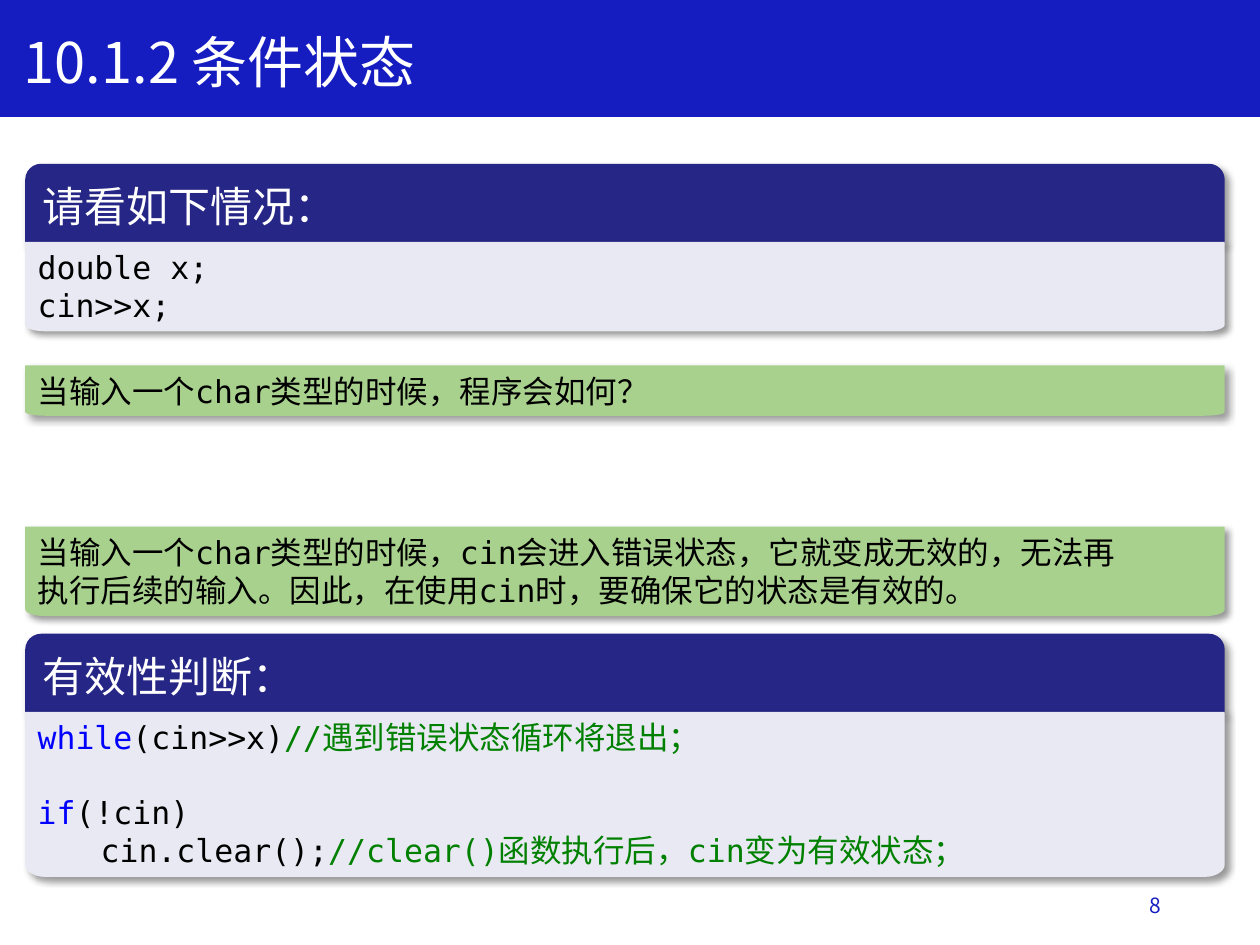
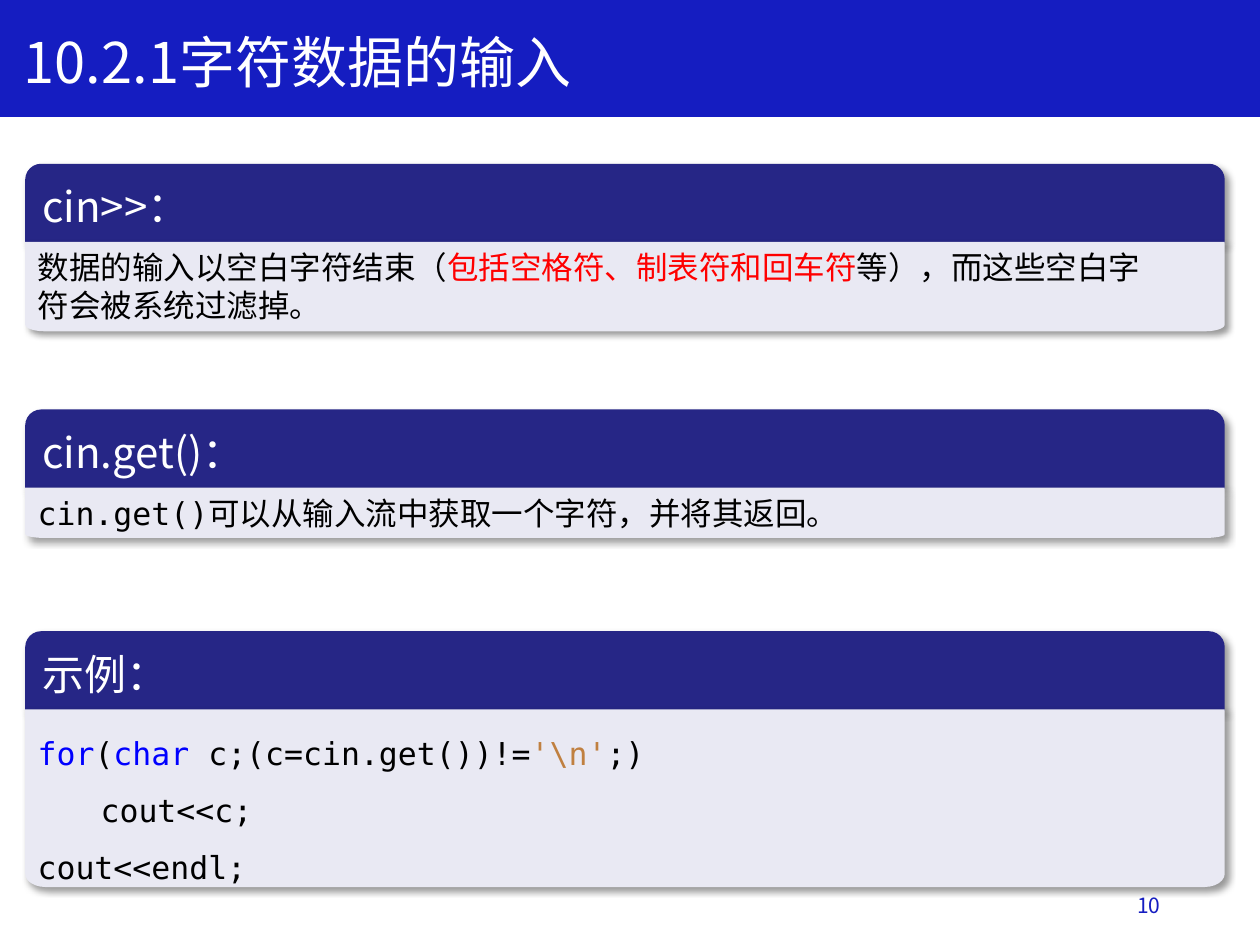
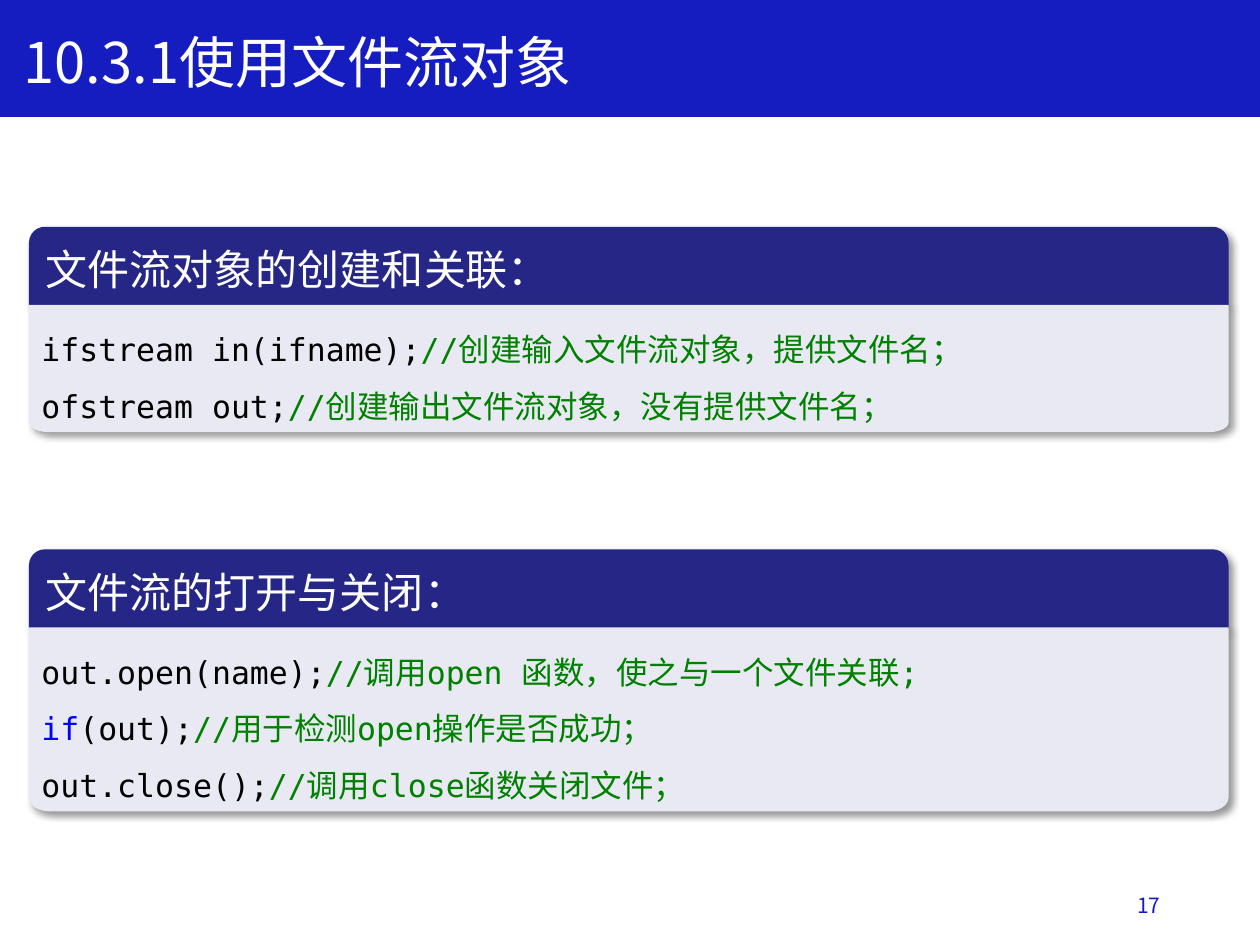
import math

from lxml import etree
from pptx import Presentation
from pptx import util as u
from pptx.dml import color
from pptx.enum import shapes, text
from pptx.oxml import ns

HUES = dict(band="151DC1", head="262686", pale="E9E9F3", green="A9D18E", white="FFFFFF",
            black="000000", key="0000FF", note="008000", red="FF0000", lit="C08040")
MONO, SANS = "DejaVu Sans Mono", "Noto Sans CJK SC"
KINDS = dict(
    title=dict(size=32, name=SANS, hue="white"),
    head=dict(size=24, name=SANS, hue="white"),
    page=dict(size=12, name=SANS, hue="band"),
    code=dict(size=18, name=MONO, hue="black"),
    key=dict(size=18, name=MONO, hue="key"),
    lit=dict(size=18, name=MONO, hue="lit"),
    note=dict(size=18, name=MONO, hue="note"),
    word=dict(size=18, name=SANS, hue="note"),
    text=dict(size=18, name=SANS, hue="black"),
    red=dict(size=18, name=SANS, hue="red"),
)
CELL = u.Inches(0.1)
COLS, ROWS = 100, 75
WIDE, HEAD = 95.2, 6.3
TOP, MID = text.MSO_ANCHOR.TOP, text.MSO_ANCHOR.MIDDLE
LEFT, RIGHT = text.PP_ALIGN.LEFT, text.PP_ALIGN.RIGHT


class Deck:
    """Holds the style and the current slide; lengths are grid cells."""

    def __init__(self):
        self.prs = Presentation()
        self.prs.slide_width, self.prs.slide_height = COLS * CELL, ROWS * CELL

    def cells(self, *nums):
        return [round(n * CELL) for n in nums]

    def hue(self, key):
        return color.RGBColor.from_string(HUES[key])

    def page(self, title, num):
        layout = self.prs.slide_layouts[6]
        self.art = self.prs.slides.add_slide(layout).shapes
        band = self.art.add_shape(shapes.MSO_SHAPE.RECTANGLE, *self.cells(0, 0, COLS, 9.2))
        self.paint(band, "band")
        band.line.color.rgb = self.hue("band")
        band.line.width = u.Pt(1)
        self.label([0.9, 1.7, 73, 6.4], [[("title", title)]], TOP, LEFT)
        self.label([70.6, 69.8, 22.5, 4], [[("page", num)]], MID, RIGHT)

    def label(self, box, lines, anchor, align):
        self.fill(self.art.add_textbox(*self.cells(*box)), lines, anchor, align)

    def paint(self, shape, key, shade=False):
        shape.fill.solid()
        shape.fill.fore_color.rgb = self.hue(key)
        shape.line.fill.background()
        shape.shadow.inherit = False
        if shade:
            fx = shape._element.spPr.find(ns.qn("a:effectLst"))
            drop = etree.SubElement(fx, ns.qn("a:outerShdw"), blurRad=str(u.Pt(4)),
                                    dist=str(u.Pt(3)), dir="2700000", algn="tl", rotWithShape="0")
            tint = etree.SubElement(drop, ns.qn("a:srgbClr"), val=HUES["black"])
            etree.SubElement(tint, ns.qn("a:alpha"), val="40000")

    def fill(self, shape, lines, anchor=TOP, align=LEFT, pitch=None):
        frame = shape.text_frame
        frame.word_wrap, frame.vertical_anchor = True, anchor
        for i, line in enumerate(lines):
            para = frame.paragraphs[0] if i == 0 else frame.add_paragraph()
            form = dict(alignment=align, line_spacing=pitch)
            for part in line:
                if isinstance(part, dict):
                    form.update(part)
                else:
                    self.run(para, *part)
            for name, val in form.items():
                setattr(para, name, val)

    def run(self, para, kind, words):
        run = para.add_run()
        run.text = words
        form = KINDS[kind]
        for name, val in dict(name=form["name"], size=u.Pt(form["size"])).items():
            setattr(run.font, name, val)
        run.font.color.rgb = self.hue(form["hue"])
        props = run._r.get_or_add_rPr()
        props.set("lang", "zh-CN")
        props.find(ns.qn("a:latin")).addnext(
            etree.Element(ns.qn("a:ea"), typeface=SANS))

    def plate(self, x, y, high, lines, key="green", pitch=None):
        rx, ry = WIDE / 60, high * 0.075
        turn = [math.radians(a) for a in range(0, 91, 15)]
        east = [(x + WIDE - rx + rx * math.cos(a), y + high - ry + ry * math.sin(a)) for a in turn]
        west = [(2 * x + WIDE - px, py) for px, py in reversed(east)]
        pen = self.art.build_freeform(*self.cells(x, y))
        pen.add_line_segments([self.cells(*pt) for pt in [(x + WIDE, y), *east, *west]])
        shape = pen.convert_to_shape()
        self.paint(shape, key, True)
        self.fill(shape, lines, pitch=pitch)

    def block(self, x, y, high, head, lines, pitch=None):
        kind = shapes.MSO_SHAPE.ROUND_2_SAME_RECTANGLE
        cap = self.art.add_shape(kind, *self.cells(x, y, WIDE, HEAD))
        cap.adjustments[0], cap.adjustments[1] = 0.2, 0
        self.paint(cap, "head", True)
        self.fill(cap, [[("head", head)]], MID)
        self.plate(x, y + HEAD - 0.1, high, lines, "pale", pitch)


def main():
    deck = Deck()
    inner = dict(level=1)

    deck.page("10.1.2 条件状态", "8")
    deck.block(2, 13, 7.1, "请看如下情况：", [[("code", "double x;")], [("code", "cin>>x;")]])
    deck.plate(2, 29, 4, [[("code", "当输入一个char类型的时候，程序会如何？")]])
    deck.plate(2, 41.8, 7.1, [
        [("code", "当输入一个char类型的时候，cin会进入错误状态，它就变成无效的，无法再")],
        [("code", "执行后续的输入。因此，在使用cin时，要确保它的状态是有效的。")]])
    deck.block(2, 50.3, 13.1, "有效性判断：", [
        [("key", "while"), ("code", "(cin>>x)"), ("note", "//"), ("word", "遇到错误状态循环将退出；")],
        [dict(space_before=u.Pt(21.4)), ("key", "if"), ("code", "(!cin)")],
        [inner, ("code", "cin.clear();"), ("note", "//clear()"), ("word", "函数执行后，"),
         ("note", "cin"), ("word", "变为有效状态；")]])

    deck.page("10.2.1字符数据的输入", "10")
    deck.block(2, 13, 7.1, "cin>>：", [
        [("text", "数据的输入以空白字符结束（"), ("red", "包括空格符、制表符和回车符"),
         ("text", "等），而这些空白字")],
        [("text", "符会被系统过滤掉。")]])
    deck.block(2, 32.5, 4, "cin.get()：",
               [[("code", "cin.get()可以从输入流中获取一个字符，并将其返回。")]])
    deck.block(2, 50.1, 14.1, "示例：", [
        [("key", "for"), ("code", "("), ("key", "char "), ("code", "c;(c=cin.get())!="),
         ("lit", r"'\n'"), ("code", ";)")],
        [inner, ("code", "cout<<c;")],
        [("code", "cout<<endl;")]], 1.5)

    deck.page("10.3.1使用文件流对象", "17")
    deck.block(2.3, 18, 10.1, "文件流对象的创建和关联：", [
        [("code", "ifstream in(ifname);"), ("note", "//"), ("word", "创建输入文件流对象，提供文件名；")],
        [("code", "ofstream out;"), ("note", "//"), ("word", "创建输出文件流对象，没有提供文件名；")]], 1.5)
    deck.block(2.3, 43.6, 14.6, "文件流的打开与关闭：", [
        [("code", "out.open(name);"), ("note", "//"), ("word", "调用"), ("note", "open "),
         ("word", "函数，使之与一个文件关联"), ("note", ";")],
        [("key", "if"), ("code", "(out);"), ("note", "//"), ("word", "用于检测"),
         ("note", "open"), ("word", "操作是否成功；")],
        [("code", "out.close();"), ("note", "//"), ("word", "调用"), ("note", "close"),
         ("word", "函数关闭文件；")]], 1.5)

    deck.prs.save("out.pptx")


if __name__ == "__main__":
    main()
